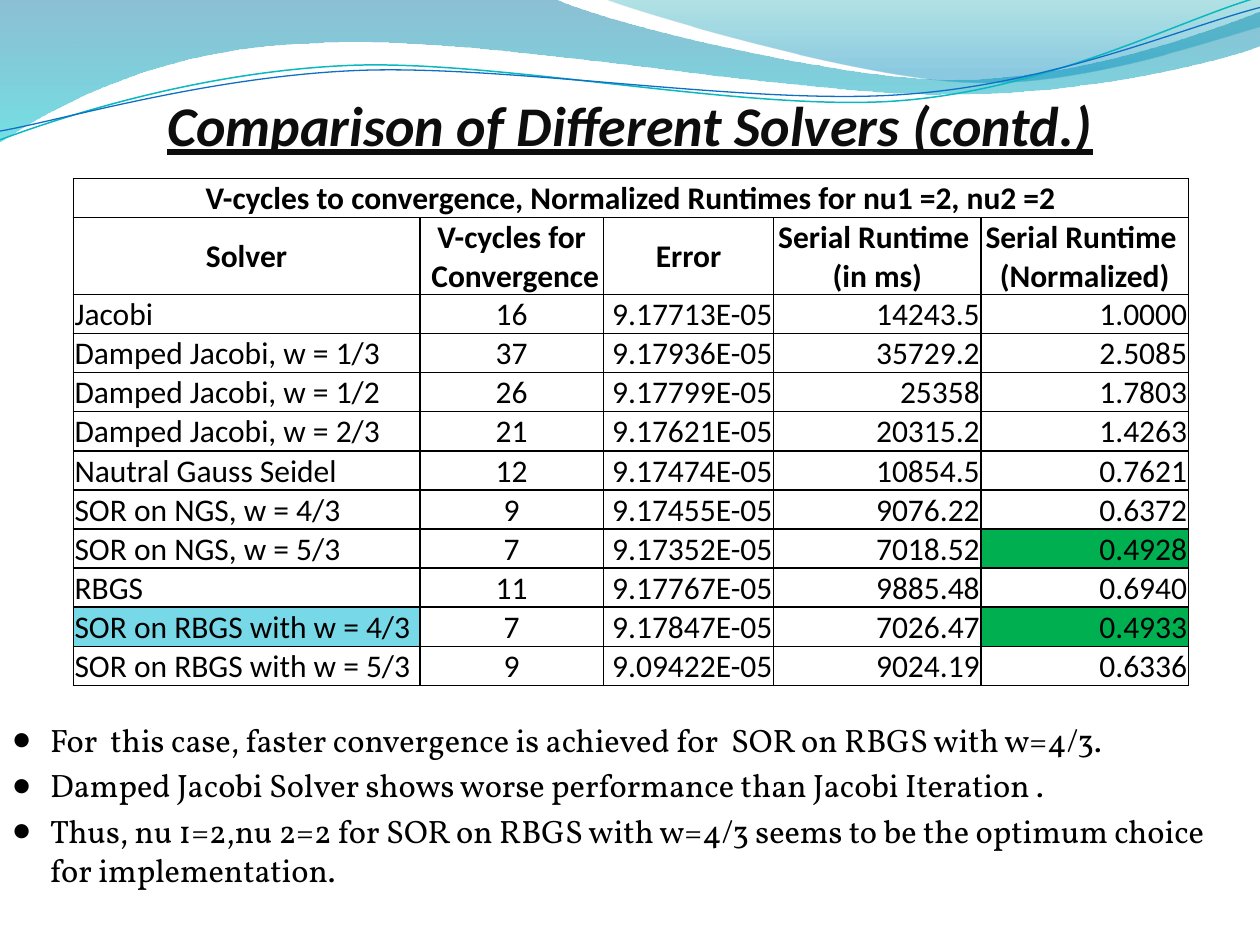
import math
from dataclasses import dataclass

from lxml import etree
from pptx import Presentation
from pptx import util as u
from pptx.dml.color import RGBColor
from pptx.enum import text
from pptx.oxml import ns

LEFT, CENTER, RIGHT = text.PP_ALIGN.LEFT, text.PP_ALIGN.CENTER, text.PP_ALIGN.RIGHT
TOP, MIDDLE, BOTTOM = (text.MSO_ANCHOR.TOP, text.MSO_ANCHOR.MIDDLE,
                       text.MSO_ANCHOR.BOTTOM)


@dataclass(frozen=True)
class Theme:
    ink: str = "000000"
    title_ink: str = "0D0D0D"
    best: str = "00B050"
    chosen: str = "77D9E8"
    teal_line: str = "0AB8BF"
    blue_line: str = "0F6FC6"
    # Gradient stops: position, colour, opacity in percent
    wide_wave: tuple = ((0, "0074A1", 45), (1, "00C6CF", 55))
    corner_wave: tuple = ((0, "00A1A9", 30), (0.8, "008BBF", 45))
    sans: str = "Calibri"
    serif: str = "Vollkorn"
    title_size: float = 32
    table_size: float = 18
    bullet_size: float = 18.5


def add_xml(parent, tag, **attrs):
    return etree.SubElement(parent, ns.qn(tag), {k: str(v) for k, v in attrs.items()})


def write(p, words, *, size, font, color, align=LEFT, bold=False, italic=False,
          underline=False):
    p.text = words
    p.alignment = align
    for r in p.runs:
        f = r.font
        f.size, f.name, f.bold, f.italic = u.Pt(size), font, bold, italic
        f.underline = underline
        f.color.rgb = RGBColor.from_string(color)


def turn(pt, center, degrees):
    a = math.radians(degrees)
    dx, dy = pt[0] - center[0], pt[1] - center[1]
    return (center[0] + dx * math.cos(a) - dy * math.sin(a),
            center[1] + dx * math.sin(a) + dy * math.cos(a))


class SlideBuilder:
    def __init__(self, slide, theme):
        self.slide, self.theme = slide, theme

    def outline(self, segments, closed):
        """Build an outline; a segment of one point is a line, of three a cubic curve."""
        pts = [(u.Pt(x), u.Pt(y)) for seg in segments for x, y in seg]
        builder = self.slide.shapes.build_freeform(*pts[0])
        builder.add_line_segments(pts[1:], close=closed)
        sp = builder.convert_to_shape()
        sp.shadow.inherit = False
        lines = iter(list(sp.element.spPr.iter(ns.qn("a:lnTo"))))
        for seg in segments[1:]:
            first, *others = [next(lines) for _ in seg]
            if others:
                first.tag = ns.qn("a:cubicBezTo")
                for other in others:
                    first.append(other[0])
                    other.getparent().remove(other)
        return sp

    def wave(self, segments, stops):
        sp = self.outline(segments, True)
        sp.line.fill.background()
        sp.fill.gradient()
        sp.fill.gradient_angle = 270
        for stop, (position, color, _) in zip(sp.fill.gradient_stops, stops):
            stop.position = position
            stop.color.rgb = RGBColor.from_string(color)
        for clr, (_, _, opacity) in zip(sp.element.spPr.iter(ns.qn("a:srgbClr")), stops):
            add_xml(clr, "a:alpha", val=opacity * 1000)

    def curve(self, segments, center, color, width, tilt=-2.7):
        """Draw a curve whose points are given as they lie after the tilt."""
        level = [[turn(pt, center, -tilt) for pt in seg] for seg in segments]
        sp = self.outline(level, False)
        sp.rotation = tilt
        sp.fill.background()
        sp.line.color.rgb = RGBColor.from_string(color)
        sp.line.width = u.Pt(width)

    def box(self, left, top, width, height, anchor, insets):
        tf = self.slide.shapes.add_textbox(*map(u.Pt, (left, top, width, height))).text_frame
        tf.word_wrap = True
        tf.vertical_anchor = anchor
        (tf.margin_left, tf.margin_top,
         tf.margin_right, tf.margin_bottom) = map(u.Pt, insets)
        return tf

    def title(self, words):
        th = self.theme
        tf = self.box(0, 0, 720, 90, BOTTOM, (0, 3.6, 0, 0))
        write(tf.paragraphs[0], words, size=th.title_size, font=th.sans,
              color=th.title_ink, align=CENTER, bold=True, italic=True, underline=True)

    def bullets(self, items):
        th = self.theme
        tf = self.box(0, 408, 702, 102, TOP, (7.2, 3.6, 7.2, 3.6))
        for i, item in enumerate(items):
            p = tf.add_paragraph() if i else tf.paragraphs[0]
            write(p, item, size=th.bullet_size, font=th.serif, color=th.ink)
            p.space_before = u.Pt(0.2 * th.bullet_size)
            pPr = p._p.get_or_add_pPr()
            pPr.set("marL", str(u.Pt(21.6)))
            pPr.set("indent", str(u.Pt(-21.6)))
            add_xml(add_xml(pPr, "a:buClr"), "a:srgbClr", val=th.ink)
            add_xml(pPr, "a:buSzPct", val=95000)
            add_xml(pPr, "a:buFont", typeface=th.sans)
            add_xml(pPr, "a:buChar", char="●")

    def cell(self, cell, words, align, anchor=BOTTOM, bold=False, fill=None):
        th = self.theme
        cell.margin_left = cell.margin_right = cell.margin_top = u.Pt(0.72)
        cell.margin_bottom = 0
        cell.vertical_anchor = anchor
        write(cell.text_frame.paragraphs[0], words, size=th.table_size, font=th.sans,
              color=th.ink, align=align, bold=bold)
        tcPr = cell._tc.get_or_add_tcPr()
        for side in "LRTB":
            ln = add_xml(tcPr, f"a:ln{side}", w=u.Pt(1))
            add_xml(add_xml(ln, "a:solidFill"), "a:srgbClr", val=th.ink)
        if fill:
            cell.fill.solid()
            cell.fill.fore_color.rgb = RGBColor.from_string(fill)
        else:
            cell.fill.background()

    def table(self, caption, headers, rows, widths, fills):
        """Draw the table; fills maps (data row, column) to a colour."""
        line, header, height = 15.84, 32.4, 288.7
        heights = [line, header] + [line] * len(rows)
        frame = self.slide.shapes.add_table(
            len(heights), len(widths), *map(u.Pt, (41.9, 102, sum(widths), height)))
        tbl = frame.table
        tbl.first_row = tbl.horz_banding = False
        for col, width in zip(tbl.columns, widths):
            col.width = u.Pt(width)
        for row, row_height in zip(tbl.rows, heights):
            row.height = u.Pt(row_height)
        frame.height = u.Pt(height)  # rows grow to fit their text
        tbl.cell(0, 0).merge(tbl.cell(0, len(widths) - 1))
        for c, head in enumerate(headers):
            self.cell(tbl.cell(0, c), "" if c else caption, CENTER, bold=True)
            self.cell(tbl.cell(1, c), head, CENTER, MIDDLE, bold=True)
        aligns = (LEFT, CENTER, RIGHT, RIGHT, RIGHT)
        for r, values in enumerate(rows):
            for c, (value, align) in enumerate(zip(values, aligns)):
                self.cell(tbl.cell(r + 2, c), value, align, fill=fills.get((r, c)))


HEADERS = ("Solver", "V-cycles for\n Convergence", "Error",
           "Serial Runtime \n(in ms)", "Serial Runtime \n(Normalized)")
SOLVERS = (
    ("Jacobi", "16", "9.17713E-05", "14243.5", "1.0000"),
    ("Damped Jacobi, w = 1/3", "37", "9.17936E-05", "35729.2", "2.5085"),
    ("Damped Jacobi, w = 1/2", "26", "9.17799E-05", "25358", "1.7803"),
    ("Damped Jacobi, w = 2/3", "21", "9.17621E-05", "20315.2", "1.4263"),
    ("Nautral Gauss Seidel", "12", "9.17474E-05", "10854.5", "0.7621"),
    ("SOR on NGS, w = 4/3", "9", "9.17455E-05", "9076.22", "0.6372"),
    ("SOR on NGS, w = 5/3", "7", "9.17352E-05", "7018.52", "0.4928"),
    ("RBGS", "11", "9.17767E-05", "9885.48", "0.6940"),
    ("SOR on RBGS with w = 4/3", "7", "9.17847E-05", "7026.47", "0.4933"),
    ("SOR on RBGS with w = 5/3", "9", "9.09422E-05", "9024.19", "0.6336"),
)
FINDINGS = (
    "For  this case, faster convergence is achieved for  SOR on RBGS with w=4/3.",
    "Damped Jacobi Solver shows worse performance than Jacobi Iteration .",
    "Thus, nu 1=2,nu 2=2 for SOR on RBGS with w=4/3 seems to be the optimum choice "
    "for implementation.",
)
WIDE_WAVE = (
    [(0, 0)], [(316.8, -0.7)],
    [(342.7, 12.2), (478.1, 45.4), (545.8, 45.4)],
    [(614.2, 45.4), (689.8, 18.7), (720, 6.5)], [(720.7, 25.9)],
    [(707.8, 31.7), (626.4, 54.7), (537.1, 54)],
    [(447.8, 54), (275, 20.2), (185, 24.5)],
    [(92.9, 25.9), (33.1, 59.8), (-0.7, 81.4)])
CORNER_WAVE = (
    [(344.9, -0.7)], [(366.5, 7.9), (491, 44.6), (553.7, 46.8)],
    [(616.3, 49.7), (691.9, 23), (720, 15.1)], [(720, 0)])
TEAL_CURVE = (
    [(0, 79.9)], [(34.6, 67), (113.8, 41), (199.4, 37.4)],
    [(284.4, 33.8), (427, 64.1), (513.4, 57.6)],
    [(599.8, 51.1), (675.4, 10.8), (718.6, -1.4)])
BLUE_CURVE = (
    [(0, 74.9)], [(33.8, 69.1), (118.1, 43.9), (203.8, 40.3)],
    [(290.2, 36.7), (429.8, 60.5), (516.2, 54)],
    [(601.9, 48.2), (677.5, 15.1), (720, 4.3)])


def main():
    prs = Presentation()
    prs.slide_width, prs.slide_height = u.Pt(720), u.Pt(540)
    th = Theme()
    s = SlideBuilder(prs.slides.add_slide(prs.slide_layouts[6]), th)
    s.wave(WIDE_WAVE, th.wide_wave)
    s.wave(CORNER_WAVE, th.corner_wave)
    s.curve(TEAL_CURVE, (359.3, 41.4), th.teal_line, 0.85)
    s.curve(BLUE_CURVE, (359.6, 42.5), th.blue_line, 0.75)
    s.title("Comparison of Different Solvers (contd.)")
    s.bullets(FINDINGS)
    s.table("V-cycles to convergence, Normalized Runtimes for nu1 =2, nu2 =2",
            HEADERS, SOLVERS, (198, 105, 97.2, 118.5, 118.5),
            {(6, 4): th.best, (8, 4): th.best, (8, 0): th.chosen})
    prs.save("out.pptx")


if __name__ == "__main__":
    main()
